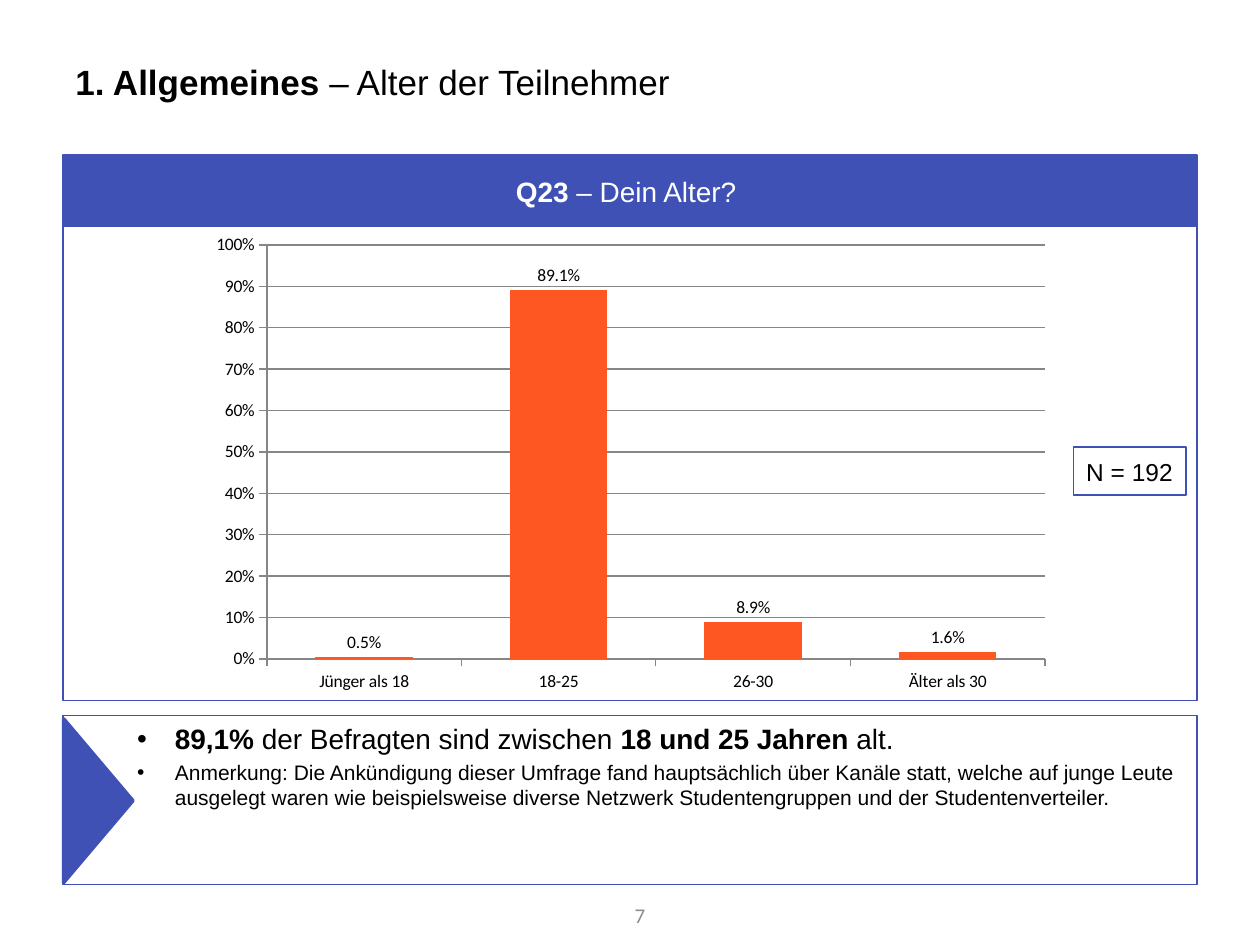
from lxml import etree
from pptx import Presentation
from pptx import util as u
from pptx.chart import data as chart_data
from pptx.dml.color import RGBColor
from pptx.enum import chart as charts, shapes, text
from pptx.oxml.ns import qn

COLORS = {
    "blue": "3F51B5",
    "orange": "FF5722",
    "black": "000000",
    "white": "FFFFFF",
    "gray": "8C8C8C",
    "grid": "868686",
}
LEFT, WIDTH = 0.5, 9


def rgb(name):
    return RGBColor.from_string(COLORS[name])


def box(left, top, width, height):
    return [u.Inches(value) for value in (left, top, width, height)]


def add_bullet(paragraph, margin, indent):
    properties = paragraph._p.get_or_add_pPr()
    properties.set("marL", str(u.Inches(margin)))
    properties.set("indent", str(u.Inches(indent)))
    etree.SubElement(properties, qn("a:buFont")).set("typeface", "Arial")
    etree.SubElement(properties, qn("a:buChar")).set("char", "•")


def write(paragraph, *runs, size, color="black", font="Arial", align="LEFT", before=0):
    paragraph.alignment = getattr(text.PP_ALIGN, align)
    paragraph.space_before = u.Pt(before)
    for content, bold in runs:
        run = paragraph.add_run()
        run.text = content
        run.font.size = u.Pt(size)
        run.font.bold = bold
        run.font.name = font
        run.font.color.rgb = rgb(color)


def add_text(slide, position, *runs, **style):
    frame = slide.shapes.add_textbox(*box(*position)).text_frame
    frame.word_wrap = True
    frame.vertical_anchor = text.MSO_ANCHOR.MIDDLE
    write(frame.paragraphs[0], *runs, **style)


def add_block(slide, position, kind="RECTANGLE", fill=None, line_width=1):
    shape = slide.shapes.add_shape(getattr(shapes.MSO_SHAPE, kind), *box(*position))
    shape.shadow.inherit = False
    if fill:
        shape.fill.solid()
        shape.fill.fore_color.rgb = rgb(fill)
    else:
        shape.fill.background()
    shape.line.color.rgb = rgb("blue")
    shape.line.width = u.Pt(line_width)
    return shape


def add_findings(slide):
    frame = add_block(slide, (LEFT, 5.68, WIDTH, 1.34)).text_frame
    frame.vertical_anchor = text.MSO_ANCHOR.TOP
    findings = [
        (16, [("89,1% ", True), ("der Befragten sind zwischen ", False),
              ("18 und 25 Jahren", True), (" alt.", False)]),
        (12, [("Anmerkung: Die Ankündigung dieser Umfrage fand hauptsächlich über Kanäle "
               "statt, welche auf junge Leute ausgelegt waren wie beispielsweise diverse "
               "Netzwerk Studentengruppen und der Studentenverteiler.", False)]),
    ]
    for index, (size, runs) in enumerate(findings):
        paragraph = frame.add_paragraph() if index else frame.paragraphs[0]
        write(paragraph, *runs, size=size, before=size * 0.2)
        add_bullet(paragraph, 0.79, -0.3)


def add_age_chart(slide):
    data = chart_data.CategoryChartData()
    data.categories = ["Jünger als 18", "18-25", "26-30", "Älter als 30"]
    data.add_series("Series 1", (0.005, 0.891, 0.089, 0.016))
    chart = slide.shapes.add_chart(
        charts.XL_CHART_TYPE.COLUMN_CLUSTERED, *box(1.58, 1.79, 6.85, 3.77), data
    ).chart
    chart.has_legend = False
    chart.has_title = False
    chart.font.size = u.Pt(10)
    chart.font.name = "Calibri"
    chart.font.color.rgb = rgb("black")

    plot = chart.plots[0]
    plot.gap_width = 100
    plot.vary_by_categories = False
    series = plot.series[0]
    series.format.fill.solid()
    series.format.fill.fore_color.rgb = rgb("orange")
    series.invert_if_negative = False
    labels = series.data_labels
    labels.show_value = True
    labels.number_format = "0.0%"
    labels.number_format_is_linked = False
    labels.position = charts.XL_LABEL_POSITION.OUTSIDE_END

    values = chart.value_axis
    values.minimum_scale, values.maximum_scale, values.major_unit = 0, 1, 0.1
    values.tick_labels.number_format = "0%"
    values.tick_labels.number_format_is_linked = False
    values.has_major_gridlines = True
    for line in (values.major_gridlines.format.line, values.format.line,
                 chart.category_axis.format.line):
        line.color.rgb = rgb("grid")
        line.width = u.Pt(0.75)
    for axis in (values, chart.category_axis):
        axis.major_tick_mark = charts.XL_TICK_MARK.OUTSIDE


def main():
    presentation = Presentation()
    presentation.slide_width, presentation.slide_height = u.Inches(10), u.Inches(7.5)
    slide = presentation.slides.add_slide(presentation.slide_layouts[6])

    add_text(slide, (LEFT, 0.3, WIDTH, 0.69), ("1. Allgemeines ", True),
             ("– Alter der Teilnehmer", False), size=20)
    add_findings(slide)
    arrow = add_block(slide, (0.13, 6.08, 1.3, 0.55), "ISOSCELES_TRIANGLE", "blue", 2)
    arrow.rotation = 90

    add_block(slide, (LEFT, 1.23, WIDTH, 4.33))
    header = add_block(slide, (0.51, 1.24, 8.98, 0.55), fill="blue", line_width=2)
    write(header.text_frame.paragraphs[0], ("Q23 ", True), ("– Dein Alter? ", False),
          size=16, color="white", align="CENTER")
    add_age_chart(slide)
    sample = add_block(slide, (8.52, 3.55, 0.89, 0.38))
    sample.text_frame.word_wrap = False
    write(sample.text_frame.paragraphs[0], ("N = 192", False), size=14, align="CENTER")

    add_text(slide, (4.59, 7.06, 0.63, 0.4), ("7", False),
             size=12, color="gray", font="Calibri", align="RIGHT")
    presentation.save("out.pptx")


if __name__ == "__main__":
    main()
